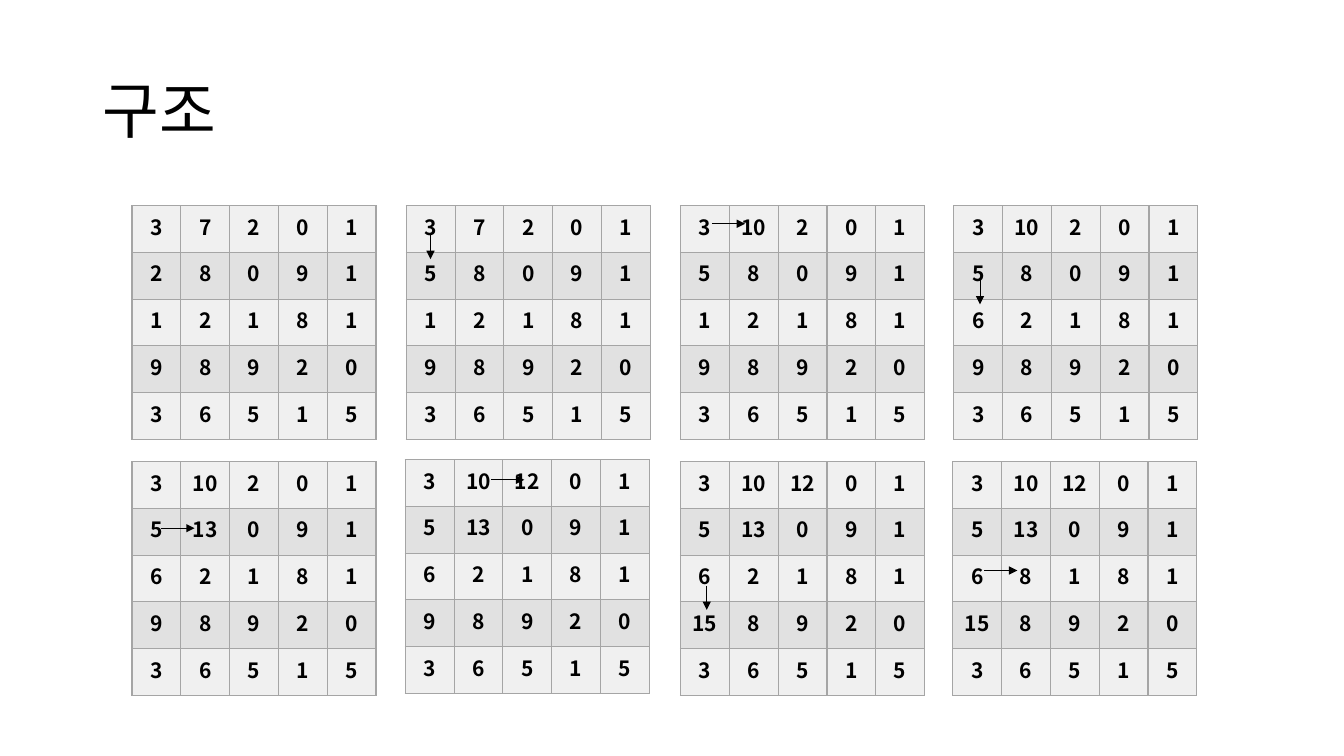
from lxml.etree import SubElement
from pptx import Presentation
from pptx.dml.color import RGBColor
from pptx.enum.shapes import MSO_CONNECTOR
from pptx.enum.text import MSO_ANCHOR, PP_ALIGN
from pptx.oxml import parse_xml
from pptx.oxml.ns import nsdecls, qn
from pptx.util import Inches, Pt

BLACK = RGBColor(0x00, 0x00, 0x00)
LIGHT_GRAY = RGBColor(0xF0, 0xF0, 0xF0)
MID_GRAY = RGBColor(0xE1, 0xE1, 0xE1)
BORDER_GRAY = RGBColor(0xA5, 0xA5, 0xA5)

FONT = "Noto Sans CJK KR"
TITLE_FORMAT = {"name": FONT, "size": Pt(44), "bold": False}
NUMBER_FORMAT = {"name": FONT, "size": Pt(15), "bold": True}

GRID_WIDTH = 2.42
GRID_HEIGHT = 2.32
RIGHT = (0.33, 0)
DOWN = (0, 0.24)

START_GRID = [
    [3, 7, 2, 0, 1],
    [2, 8, 0, 9, 1],
    [1, 2, 1, 8, 1],
    [9, 8, 9, 2, 0],
    [3, 6, 5, 1, 5],
]

STEPS = [
    ((4.03, 2.04), (1, 0, 5), (4.27, 2.33), DOWN),
    ((6.75, 2.04), (0, 1, 10), (7.06, 2.22), RIGHT),
    ((9.46, 2.04), (2, 0, 6), (9.72, 2.78), DOWN),
    ((1.31, 4.58), (1, 1, 13), (1.6, 5.24), RIGHT),
    ((4.02, 4.56), (0, 2, 12), (4.87, 4.76), RIGHT),
    ((6.75, 4.58), (3, 0, 15), (7.01, 5.81), DOWN),
    ((9.45, 4.58), (2, 1, 8), (9.76, 5.66), RIGHT),
]


class SlideBuilder:
    def __init__(self, slide):
        self.slide = slide

    def add_span(self, para, text, text_format):
        span = para.add_run()
        span.text = text
        for name, value in text_format.items():
            setattr(span.font, name, value)
        span.font.color.rgb = BLACK
        east_asian = SubElement(span.font._element, qn("a:ea"))
        east_asian.set("typeface", text_format["name"])

    def title(self, text, left, top, width, height):
        box = self.slide.shapes.add_textbox(
            Inches(left), Inches(top), Inches(width), Inches(height)
        )
        frame = box.text_frame
        frame.word_wrap = True
        frame.vertical_anchor = MSO_ANCHOR.MIDDLE
        para = frame.paragraphs[0]
        para.line_spacing = 0.9
        self.add_span(para, text, TITLE_FORMAT)

    def border(self, cell):
        properties = cell._tc.get_or_add_tcPr()
        for index, side in enumerate(("lnL", "lnR", "lnT", "lnB")):
            edge = parse_xml(
                f'<a:{side} {nsdecls("a")} w="{Pt(1)}"><a:solidFill>'
                f'<a:srgbClr val="{BORDER_GRAY}"/></a:solidFill></a:{side}>'
            )
            properties.insert(index, edge)

    def grid(self, values, left, top):
        table = self.slide.shapes.add_table(
            len(values), len(values[0]),
            Inches(left), Inches(top), Inches(GRID_WIDTH), Inches(GRID_HEIGHT),
        ).table
        table.first_row = False
        table.horz_banding = False
        for row, numbers in enumerate(values):
            for column, number in enumerate(numbers):
                cell = table.cell(row, column)
                cell.fill.solid()
                cell.fill.fore_color.rgb = MID_GRAY if row % 2 else LIGHT_GRAY
                self.border(cell)
                para = cell.text_frame.paragraphs[0]
                para.alignment = PP_ALIGN.CENTER
                self.add_span(para, str(number), NUMBER_FORMAT)

    def arrow(self, start, direction):
        x, y = start
        across, down = direction
        connector = self.slide.shapes.add_connector(
            MSO_CONNECTOR.STRAIGHT,
            Inches(x), Inches(y), Inches(x + across), Inches(y + down),
        )
        connector.line.color.rgb = BLACK
        connector.line.width = Pt(0.5)
        SubElement(connector.line._get_or_add_ln(), qn("a:tailEnd")).set("type", "triangle")
        SubElement(connector._element.spPr, qn("a:effectLst"))


def main():
    deck = Presentation()
    deck.slide_width = Inches(13.33)
    deck.slide_height = Inches(7.5)
    page = SlideBuilder(deck.slides.add_slide(deck.slide_layouts[6]))
    page.title("구조", 0.92, 0.4, 11.5, 1.45)

    values = [list(numbers) for numbers in START_GRID]
    page.grid(values, 1.31, 2.04)
    for corner, (row, column, number), start, direction in STEPS:
        values[row][column] = number
        page.grid(values, *corner)
        page.arrow(start, direction)
    deck.save("out.pptx")


if __name__ == "__main__":
    main()
